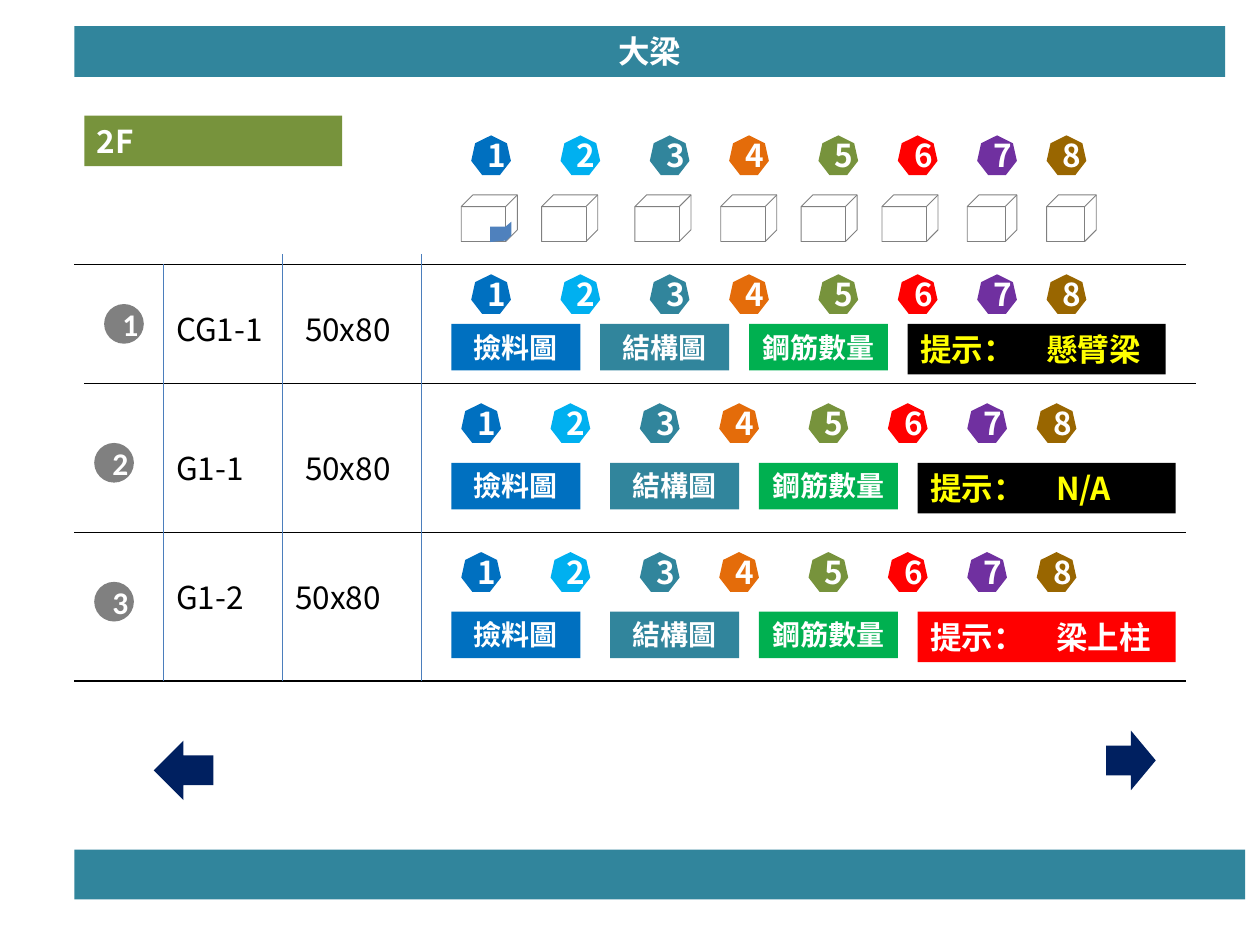
from lxml.etree import SubElement
from pptx import Presentation
from pptx.dml.color import RGBColor
from pptx.enum.shapes import MSO_CONNECTOR, MSO_SHAPE as Preset
from pptx.enum.text import MSO_ANCHOR as Anchor, MSO_AUTO_SIZE as AutoSize, PP_ALIGN as Align
from pptx.oxml.ns import qn
from pptx.util import Cm, Pt

COLORS = {
    "blue": "0070C0", "sky": "00B0F0", "teal": "31859C", "orange": "E46C0A",
    "olive": "77933C", "red": "FF0000", "purple": "7030A0", "brown": "996600",
    "green": "00B050", "navy": "002060", "steel": "4F81BD", "rule": "4B7EBC",
    "gray": "808080", "black": "000000", "white": "FFFFFF", "yellow": "FFFF00",
}
RGB = {name: RGBColor.from_string(code) for name, code in COLORS.items()}
CJK = "Noto Sans CJK SC"


def add_block(parent, preset, box, fill=None, text="", color="white", size=18,
              align=Align.CENTER, anchor=Anchor.TOP, font=CJK, bold=True, outline=None):
    block = parent.add_shape(preset, *(Cm(value) for value in box))
    block.shadow.inherit = False
    if fill:
        block.fill.solid()
        block.fill.fore_color.rgb = RGB[fill]
    else:
        block.fill.background()
    if outline:
        block.line.color.rgb = RGB[outline]
        block.line.width = Pt(0.5)
    else:
        block.line.fill.background()
    if text:
        frame = block.text_frame
        frame.word_wrap = True
        frame.vertical_anchor = anchor
        if anchor == Anchor.TOP:
            frame.auto_size = AutoSize.SHAPE_TO_FIT_TEXT
        paragraph = frame.paragraphs[0]
        paragraph.alignment = align
        run = paragraph.add_run()
        run.text = text
        run.font.name = font
        run.font.size = Pt(size)
        run.font.bold = bold
        run.font.color.rgb = RGB[color]
        SubElement(run.font._element, qn("a:ea")).set("typeface", font)


def add_rule(x1, y1, x2, y2, color):
    rule = slide.shapes.add_connector(MSO_CONNECTOR.STRAIGHT, Cm(x1), Cm(y1), Cm(x2), Cm(y2))
    rule.line.color.rgb = RGB[color]
    rule.line.width = Pt(0.75)
    SubElement(rule._element.spPr, qn("a:effectLst"))


deck = Presentation()
deck.slide_width, deck.slide_height = Cm(25.4), Cm(19.05)
slide = deck.slides.add_slide(deck.slide_layouts[6])
shapes = slide.shapes

add_block(shapes, Preset.RECTANGLE, (1.5, 0.53, 23.2, 1.02), "teal", "大梁")
add_block(shapes, Preset.RECTANGLE, (1.7, 2.33, 5.2, 1.02), "olive", "2F", align=Align.LEFT)
add_block(shapes, Preset.RECTANGLE, (1.5, 17.13, 23.6, 1), "teal")

legend = shapes.add_group_shape().shapes
cubes = [(9.3, 1.13), (10.92, 1.13), (12.8, 1.13), (14.53, 1.13),
         (16.15, 1.13), (17.78, 1.13), (19.5, 1), (21.1, 1)]
for left, width in cubes:
    add_block(legend, Preset.CUBE, (left, 3.93, width, 0.94), outline="gray")

steps = [(9.5, "blue"), (11.3, "sky"), (13.1, "teal"), (14.7, "orange"),
         (16.5, "olive"), (18.1, "red"), (19.7, "purple"), (21.1, "brown")]
for parent, top, shift in [(legend, 2.73, 0), (shapes, 5.53, 0),
                           (shapes, 8.13, -0.2), (shapes, 11.13, -0.2)]:
    for number, (left, fill) in enumerate(steps, 1):
        add_block(parent, Preset.HEPTAGON, (left + shift, top, 0.8, 0.8), fill,
                  str(number), anchor=Anchor.MIDDLE)

for y, left in [(5.33, 1.5), (7.73, 1.7), (10.73, 1.5), (13.73, 1.5)]:
    add_rule(left, y, left + 22.4, y, "black")
for x, top in [(3.3, 5.33), (5.7, 5.13), (8.5, 5.13)]:
    add_rule(x, top, x, 13.73, "rule")

beams = [
    ("CG1-1", 6.13, 5.9, (2.1, 6.13), 6.53, 0, "懸臂梁", "black", "yellow"),
    ("G1-1", 8.93, 5.9, (1.9, 8.93), 9.33, 0.2, "N/A", "black", "yellow"),
    ("G1-2", 11.53, 5.7, (1.9, 11.73), 12.33, 0.2, "梁上柱", "red", "white"),
]
buttons = [("撿料圖", 9.1, 2.6, "blue"), ("結構圖", 12.1, 2.6, "teal"),
           ("鋼筋數量", 15.1, 2.8, "green")]
for number, (code, top, size_left, dot, button_top, shift, hint, fill, color) in enumerate(beams, 1):
    add_block(shapes, Preset.OVAL, (*dot, 0.8, 0.8), "gray", str(number),
              anchor=Anchor.MIDDLE, font="Calibri")
    for text, left in [(code, 3.3), ("50x80", size_left)]:
        add_block(shapes, Preset.RECTANGLE, (left, top, 2.6, 1.02), text=text,
                  color="black", align=Align.LEFT, bold=False)
    for index, (label, left, width, button_fill) in enumerate(buttons):
        add_block(shapes, Preset.RECTANGLE,
                  (left + (shift if index else 0), button_top, width, 0.94),
                  button_fill, label, size=16)
    add_block(shapes, Preset.RECTANGLE, (18.3 + shift, button_top, 5.2, 1.02), fill,
              f"提示：　{hint}", color, align=Align.LEFT)

add_block(shapes, Preset.LEFT_ARROW, (3.1, 14.93, 1.2, 1.2), "navy")
add_block(shapes, Preset.RIGHT_ARROW, (22.3, 14.73, 1, 1.2), "navy")

corner = [(9.88, 4.88), (9.88, 4.57), (10.19, 4.57), (10.31, 4.47), (10.31, 4.75), (10.21, 4.85)]
outline = shapes.build_freeform(Cm(corner[0][0]), Cm(corner[0][1]))
outline.add_line_segments([(Cm(x), Cm(y)) for x, y in corner[1:]], close=True)
marker = outline.convert_to_shape()
marker.shadow.inherit = False
marker.fill.solid()
marker.fill.fore_color.rgb = RGB["steel"]
marker.line.fill.background()

deck.save("out.pptx")
